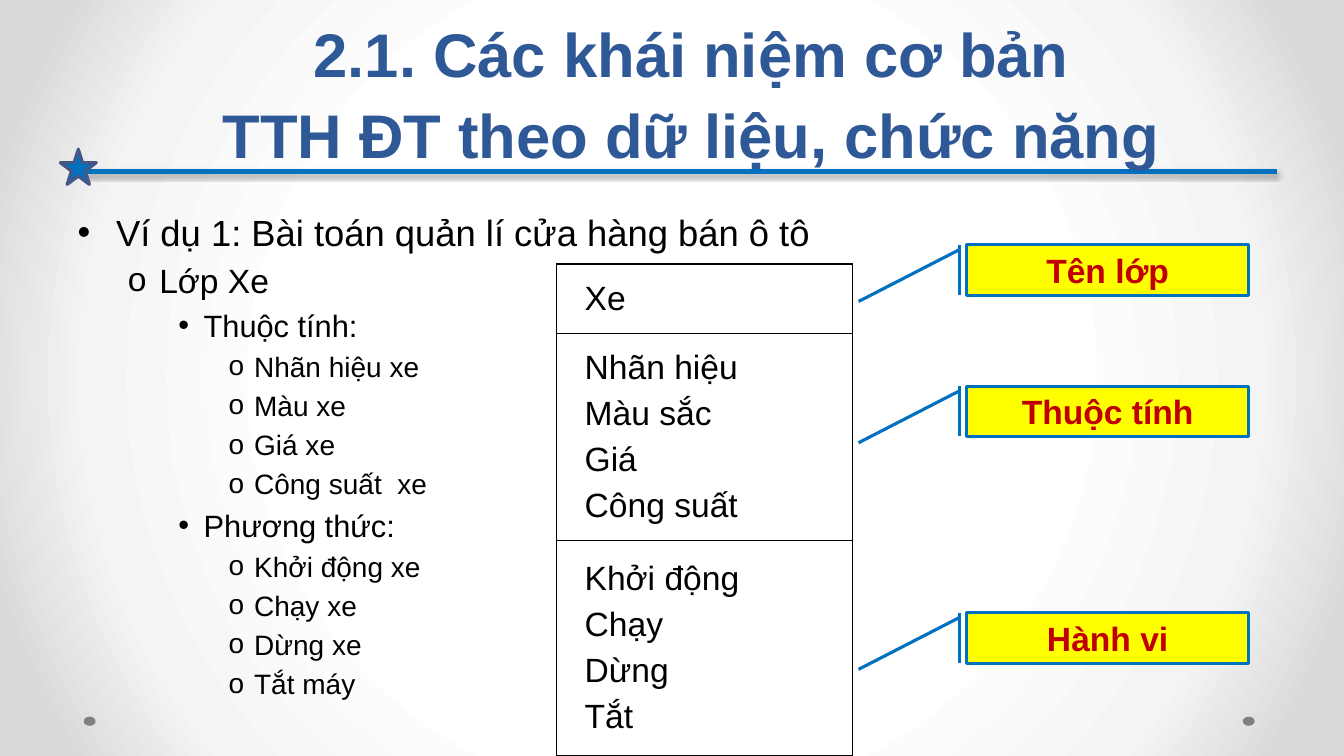
import dataclasses

import pptx
import pptx.dml.color
import pptx.enum.shapes
import pptx.enum.text
import pptx.oxml
import pptx.oxml.ns
import pptx.util
from pptx.util import Cm, Pt

FONT = "Arial"
BLUE = "0070C0"
BLACK = "000000"
NAMESPACES = pptx.oxml.ns.nsdecls("a", "p")
SHAPES = pptx.enum.shapes.MSO_SHAPE
ALIGN = pptx.enum.text.PP_ALIGN
ANCHOR = pptx.enum.text.MSO_ANCHOR


@dataclasses.dataclass
class Level:
    bullet: str
    size: int
    left: float
    hanging: float


@dataclasses.dataclass
class Item:
    text: str
    level: int


@dataclasses.dataclass
class ClassPart:
    lines: list[str]
    height: float
    label: str
    label_top: float


LEVELS = [
    Level("•", 26, 0.97, 0.97),
    Level("o", 24, 2.06, 0.79),
    Level("•", 22, 3.18, 0.64),
    Level("o", 20, 4.45, 0.64),
]

ITEMS = [
    Item("Ví dụ 1: Bài toán quản lí cửa hàng bán ô tô", 0),
    Item("Lớp Xe", 1),
    Item("Thuộc tính:", 2),
    Item("Nhãn hiệu xe", 3),
    Item("Màu xe", 3),
    Item("Giá xe", 3),
    Item("Công suất  xe", 3),
    Item("Phương thức:", 2),
    Item("Khởi động xe", 3),
    Item("Chạy xe", 3),
    Item("Dừng xe", 3),
    Item("Tắt máy", 3),
]

CLASS_PARTS = [
    ClassPart(["Xe"], 1.75, "Tên lớp", 6.17),
    ClassPart(["Nhãn hiệu", "Màu sắc", "Giá", "Công suất"], 5.21, "Thuộc tính", 9.73),
    ClassPart(["Khởi động", "Chạy", "Dừng", "Tắt"], 5.44, "Hành vi", 15.44),
]


def color(value: str) -> pptx.dml.color.RGBColor:
    return pptx.dml.color.RGBColor.from_string(value)


def element(xml: str):
    """Build an element from markup whose root tag has no namespaces yet."""
    end = min(xml.index(mark) for mark in " />" if mark in xml)
    return pptx.oxml.parse_xml(f"{xml[:end]} {NAMESPACES}{xml[end:]}")


def format_spans(para, size: float, value: str, bold: bool = False) -> None:
    for span in para.runs:
        span.font.name = FONT
        span.font.size = Pt(size)
        span.font.bold = bold
        span.font.color.rgb = color(value)


def place(shape, left: float, top: float, width: float, height: float) -> None:
    shape.left, shape.top = Cm(left), Cm(top)
    shape.width, shape.height = Cm(width), Cm(height)


def add_box(page, kind, left: float, top: float, width: float, height: float,
            fill: str, line: str | None = None):
    box = page.shapes.add_shape(kind, Cm(left), Cm(top), Cm(width), Cm(height))
    box.shadow.inherit = False
    box.fill.solid()
    box.fill.fore_color.rgb = color(fill)
    if line is None:
        box.line.fill.background()
    else:
        box.line.color.rgb = color(line)
        box.line.width = Pt(2.25)
    return box


def add_background(page) -> None:
    stops = "".join(
        f'<a:gs pos="{position * 1000}"><a:srgbClr val="{value}"/></a:gs>'
        for position, value in [(50, "FFFFFF"), (76, "F4F4F4"), (92, "DADADA")])
    page.element.cSld.insert(0, element(
        f'<p:bg><p:bgPr><a:gradFill rotWithShape="1"><a:gsLst>{stops}</a:gsLst>'
        '<a:path path="circle"><a:fillToRect l="50000" t="50000" r="50000" b="50000"/>'
        '</a:path></a:gradFill><a:effectLst/></p:bgPr></p:bg>'))


def add_decoration(page) -> None:
    for left in (31.32, 2.11):
        add_box(page, SHAPES.OVAL, left, 18.06, 0.3, 0.23, "808080")
    rule = page.shapes.add_connector(
        pptx.enum.shapes.MSO_CONNECTOR.STRAIGHT, Cm(2.13), Cm(4.32), Cm(32.18), Cm(4.32))
    rule.line.color.rgb = color(BLUE)
    rule.line.width = Pt(4)
    rule.element.spPr.append(element(
        f'<a:effectLst><a:outerShdw blurRad="{Pt(3.1)}" dist="{Pt(1.8)}" dir="5400000" '
        'rotWithShape="0"><a:srgbClr val="000000"><a:alpha val="35000"/></a:srgbClr>'
        '</a:outerShdw></a:effectLst>'))
    add_box(page, SHAPES.STAR_5_POINT, 1.52, 3.76, 0.91, 0.89, BLUE, "475785")


def fill_title(title) -> None:
    place(title, 2.74, 0.48, 29.39, 3.96)
    frame = title.text_frame
    frame.text = "2.1. Các khái niệm cơ bản\vTTH ĐT theo dữ liệu, chức năng"
    frame.auto_size = pptx.enum.text.MSO_AUTO_SIZE.NONE
    frame.vertical_anchor = ANCHOR.BOTTOM
    para = frame.paragraphs[0]
    para.alignment = ALIGN.CENTER
    para.line_spacing = Pt(58)
    format_spans(para, 44, "2F5897", bold=True)


def fill_body(body) -> None:
    place(body, 1.7, 5.16, 30.48, 12.85)
    frame = body.text_frame
    frame.text = "\n".join(item.text for item in ITEMS)
    frame.auto_size = pptx.enum.text.MSO_AUTO_SIZE.NONE
    for para, item in zip(frame.paragraphs, ITEMS):
        level = LEVELS[item.level]
        para.level = item.level
        if item.level == 0:
            para.space_before = Pt(12)
        properties = para._p.get_or_add_pPr()
        properties.set("marL", str(Cm(level.left)))
        properties.set("indent", str(-Cm(level.hanging)))
        properties.append(element(f'<a:buFont typeface="{FONT}"/>'))
        properties.append(element(f'<a:buChar char="{level.bullet}"/>'))
        format_spans(para, level.size, BLACK)


def add_class_table(page) -> None:
    height = sum(part.height for part in CLASS_PARTS)
    frame = page.shapes.add_table(
        len(CLASS_PARTS), 1, Cm(14.02), Cm(6.65), Cm(7.47), Cm(height))
    table = frame.table
    table.first_row = table.horz_banding = False
    for row, part in zip(table.rows, CLASS_PARTS):
        row.height = Cm(part.height)
        cell = row.cells[0]
        cell.text = "\n".join(part.lines)
        cell.vertical_anchor = ANCHOR.MIDDLE
        for para in cell.text_frame.paragraphs:
            para.space_before = Pt(6)
            para._p.get_or_add_pPr().set("marL", str(Cm(0.46)))
            format_spans(para, 24, BLACK)
        cell.fill.background()
        for index, side in enumerate(("lnL", "lnR", "lnT", "lnB")):
            cell._tc.get_or_add_tcPr().insert(index, element(
                f'<a:{side} w="{Pt(1)}"><a:solidFill><a:srgbClr val="{BLACK}"/>'
                f'</a:solidFill></a:{side}>'))


def add_callout(page, part: ClassPart) -> None:
    box = add_box(page, SHAPES.LINE_CALLOUT_1_BORDER_AND_ACCENT_BAR,
                  24.36, part.label_top, 7.11, 1.27, "FFFF00", BLUE)
    for index, value in enumerate((0.097, -0.026, 1.125, -0.383)):
        box.adjustments[index] = value
    box.text_frame.text = part.label
    box.text_frame.vertical_anchor = ANCHOR.MIDDLE
    para = box.text_frame.paragraphs[0]
    para.alignment = ALIGN.CENTER
    format_spans(para, 24, "C00000", bold=True)


def main() -> None:
    deck = pptx.Presentation()
    deck.slide_width, deck.slide_height = Cm(33.87), Cm(19.05)
    page = deck.slides.add_slide(deck.slide_layouts[1])
    title, body = page.placeholders

    # Background and decoration, kept behind the placeholders
    add_background(page)
    add_decoration(page)
    for holder in (title, body):
        holder.element.getparent().append(holder.element)

    # Title and outline
    fill_title(title)
    fill_body(body)

    # Class diagram and its labels
    add_class_table(page)
    for part in CLASS_PARTS:
        add_callout(page, part)

    deck.save("out.pptx")


if __name__ == "__main__":
    main()
